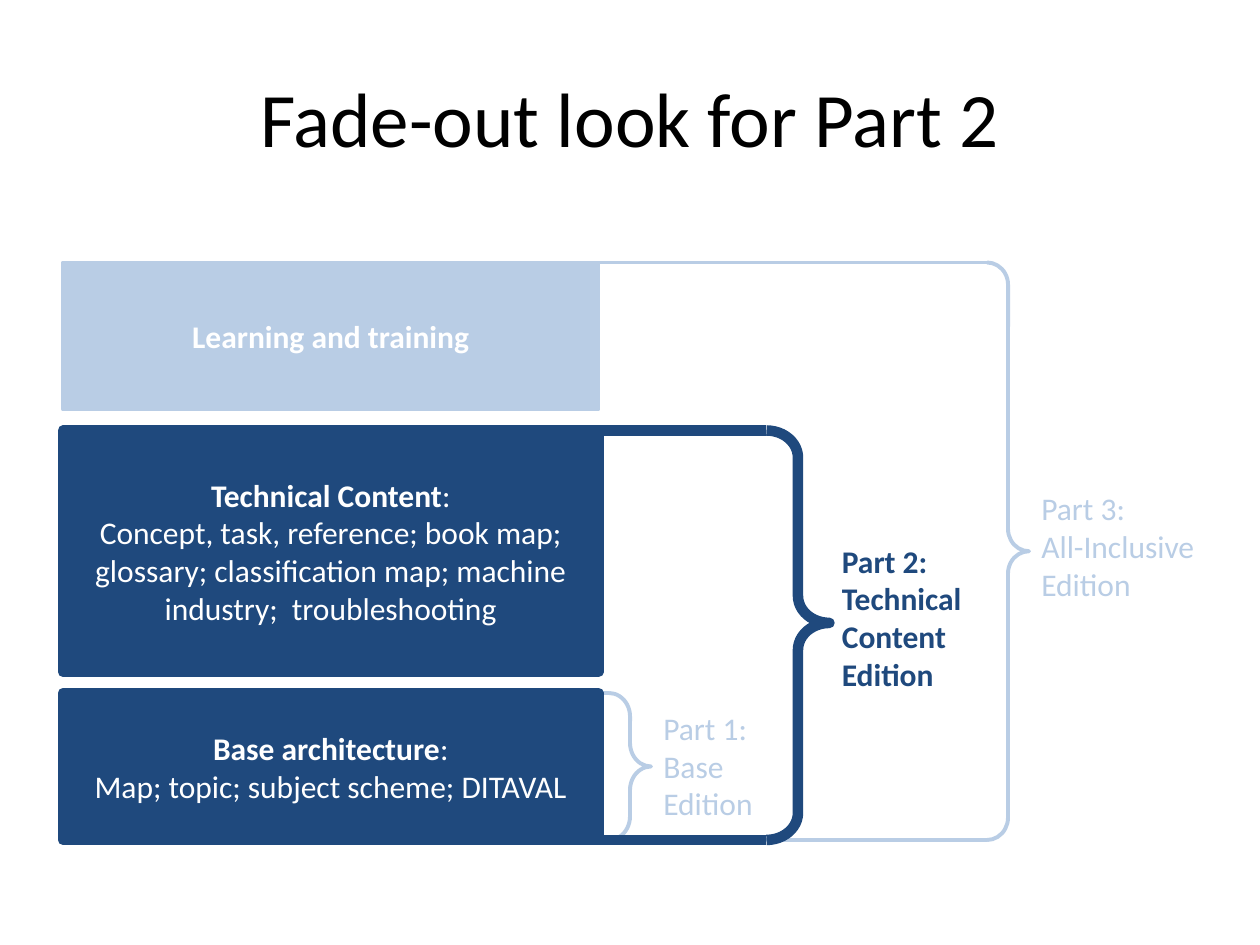
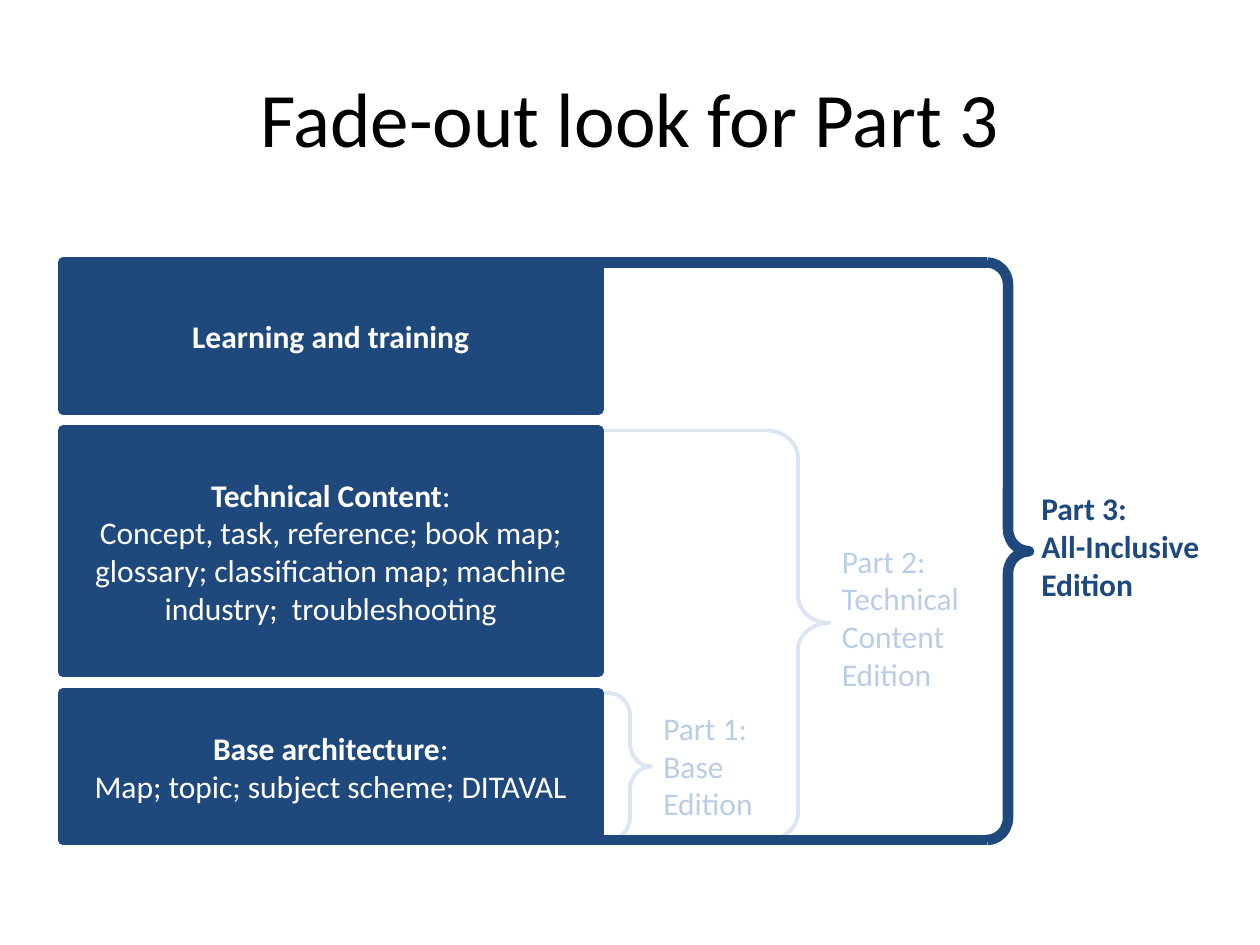
import dataclasses
import pptx
import pptx.util
import pptx.dml.color
import pptx.enum.shapes
import pptx.enum.text
import pptx.oxml

Pt = pptx.util.Pt
Shape = pptx.enum.shapes.MSO_SHAPE
Align = pptx.enum.text.PP_ALIGN
Anchor = pptx.enum.text.MSO_ANCHOR


@dataclasses.dataclass(frozen=True)
class Theme:
    font: str = "Calibri"
    title: int = 44
    body: int = 18
    black: str = "000000"
    white: str = "FFFFFF"
    strong: str = "1F497D"
    faded: str = "B9CDE5"
    pale: str = "DCE6F2"
    thick: float = 6
    thin: float = 2.25


@dataclasses.dataclass(frozen=True)
class Box:
    left: float
    top: float
    width: float
    height: float

    def place(self, x, y, w, h):
        """Turn an inner place into slide lengths."""
        return [Pt(v) for v in (self.left + x, self.top + y, w, h)]


@dataclasses.dataclass(frozen=True)
class Layer:
    head: str
    detail: str
    height: float


@dataclasses.dataclass(frozen=True)
class Part:
    name: str
    left: float    # left edge of the brace
    width: float   # width of the brace
    curve: float
    point: float
    label: tuple   # top, width and height of the label


THEME = Theme()
HEAD = Box(36, 21.6, 648, 90)
CHART = Box(36, 150, 660, 330)
WIDE, GAP, TUCK = 306, 12, 12

# Layers run from top to bottom; part n covers the lowest n layers
LAYERS = [
    Layer("Learning and training", "", 84),
    Layer("Technical Content",
          "Concept, task, reference; book map; glossary; classification map; "
          "machine industry;  troubleshooting", 138),
    Layer("Base architecture", "Map; topic; subject scheme; DITAVAL", 84),
]
PARTS = {
    1: Part("Base Edition", 312, 24, 0.56, 0.5, (251.5, 78, 73)),
    2: Part("Technical Content Edition", 402, 36, 0.43, 0.47, (156, 102, 94)),
    3: Part("All-Inclusive Edition", 528, 24, 0.53, 0.5, (126, 108, 73)),
}


def color(code):
    return pptx.dml.color.RGBColor.from_string(code)


def style(run, size, code, bold=False):
    run.font.name = THEME.font
    run.font.size = Pt(size)
    run.font.bold = bold
    run.font.color.rgb = color(code)


def stroke(item, code, width):
    item.line.color.rgb = color(code)
    item.line.width = Pt(width)


def top_of(index):
    return sum(layer.height + GAP for layer in LAYERS[:index])


def add_title(slide, box, text):
    title = slide.shapes.title
    title.left, title.top, title.width, title.height = box.place(
        0, 0, box.width, box.height)
    frame = title.text_frame
    frame.text = text
    frame.vertical_anchor = Anchor.MIDDLE
    frame.paragraphs[0].alignment = Align.CENTER
    style(frame.paragraphs[0].runs[0], THEME.title, THEME.black)


def add_arm(slide, box, start, end, y, code, width):
    x1, y1 = box.place(start, y, 0, 0)[:2]
    x2, y2 = box.place(end, y, 0, 0)[:2]
    arm = slide.shapes.add_connector(
        pptx.enum.shapes.MSO_CONNECTOR.STRAIGHT, x1, y1, x2, y2)
    stroke(arm, code, width)
    props = arm._element.spPr
    props.append(props.makeelement(pptx.oxml.ns.qn("a:effectLst"), {}))


def add_brace(slide, box, count, part, code, width):
    """Brace with two arms that reach under the layers."""
    top = top_of(len(LAYERS) - count)
    brace = slide.shapes.add_shape(
        Shape.RIGHT_BRACE,
        *box.place(part.left, top, part.width, box.height - top))
    brace.shadow.inherit = False
    brace.fill.background()
    brace.adjustments[0] = part.curve
    brace.adjustments[1] = part.point
    stroke(brace, code, width)
    for y in (top, box.height):
        add_arm(slide, box, WIDE - TUCK, part.left, y, code, width)


def add_layer(slide, box, index, active):
    layer = LAYERS[index]
    code = THEME.strong if active else THEME.faded
    shape = slide.shapes.add_shape(
        Shape.RECTANGLE, *box.place(0, top_of(index), WIDE, layer.height))
    shape.shadow.inherit = False
    shape.fill.solid()
    shape.fill.fore_color.rgb = color(code)
    stroke(shape, code, THEME.thick if active else THEME.thin)

    frame = shape.text_frame
    frame.word_wrap = True
    frame.vertical_anchor = Anchor.MIDDLE
    frame.text = layer.head
    first = frame.paragraphs[0]
    style(first.runs[0], THEME.body, THEME.white, True)
    if layer.detail:
        for para, text in ((first, ":"), (frame.add_paragraph(), layer.detail)):
            run = para.add_run()
            run.text = text
            style(run, THEME.body, THEME.white)
    for para in frame.paragraphs:
        para.alignment = Align.CENTER


def add_label(slide, box, count, part, active):
    top, width, height = part.label
    label = slide.shapes.add_textbox(
        *box.place(part.left + part.width, top, width, height))
    frame = label.text_frame
    frame.word_wrap = True
    frame.auto_size = pptx.enum.text.MSO_AUTO_SIZE.SHAPE_TO_FIT_TEXT
    frame.text = f"Part {count}:\n{part.name}"
    for para in frame.paragraphs:
        style(para.runs[0], THEME.body,
              THEME.strong if active else THEME.faded, active)


def add_chart(slide, box, focus, dim):
    # Faded braces lie below the one in focus
    for count in sorted(PARTS, key=lambda n: (n == focus, -n)):
        look = ((THEME.strong, THEME.thick) if count == focus
                else (dim, THEME.thin))
        add_brace(slide, box, count, PARTS[count], *look)
    for index in range(len(LAYERS)):
        add_layer(slide, box, index, index >= len(LAYERS) - focus)
    for count, part in PARTS.items():
        add_label(slide, box, count, part, count == focus)


def main():
    deck = pptx.Presentation()
    deck.slide_width, deck.slide_height = Pt(720), Pt(540)
    for focus, dim in ((2, THEME.faded), (3, THEME.pale)):
        slide = deck.slides.add_slide(deck.slide_layouts[5])
        add_title(slide, HEAD, f"Fade-out look for Part {focus}")
        add_chart(slide, CHART, focus, dim)
    deck.save("out.pptx")


if __name__ == "__main__":
    main()
